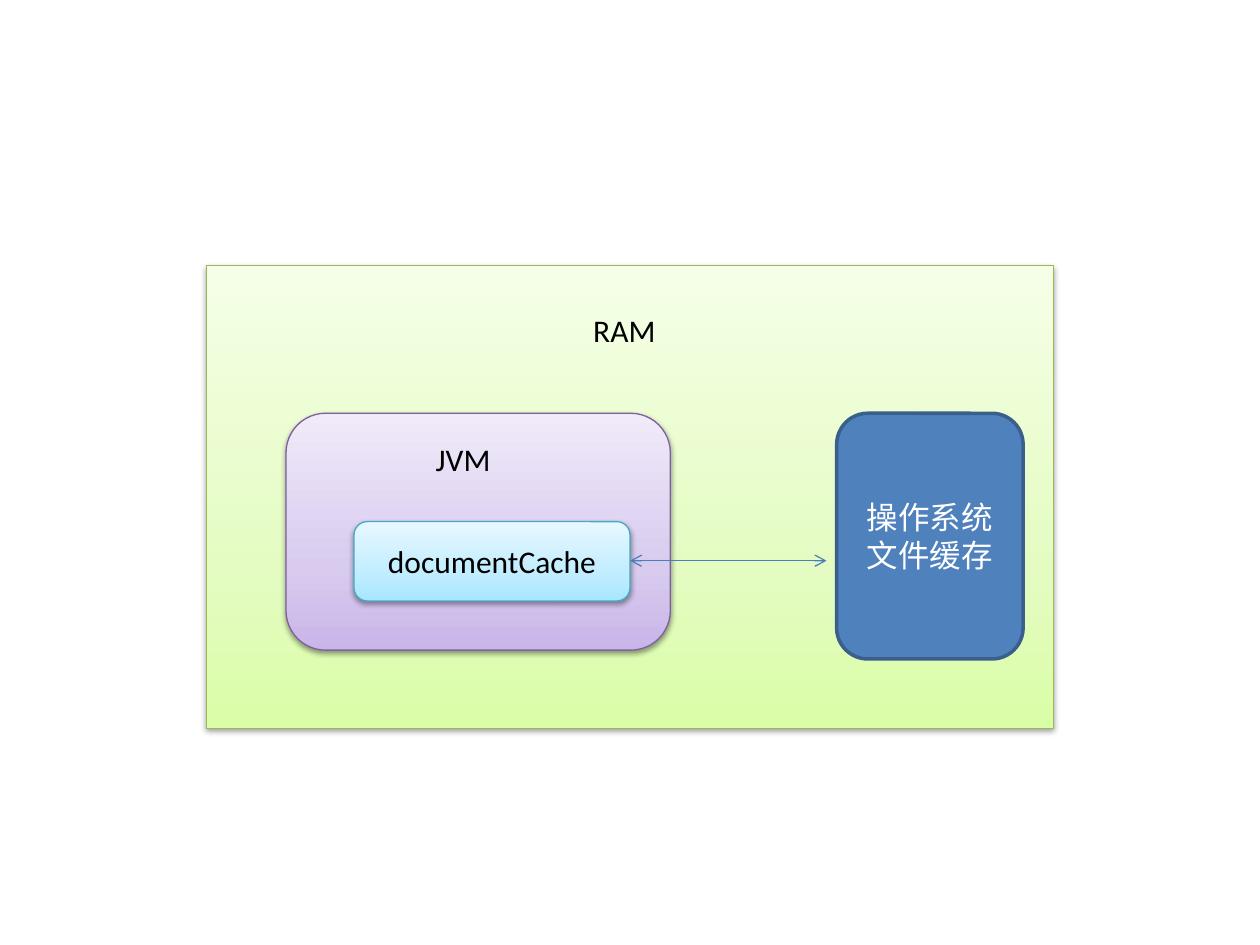
import pptx
import pptx.util
import pptx.dml.color
import pptx.enum.shapes
import pptx.enum.text
import pptx.oxml
import pptx.oxml.ns
from lxml import etree

Inches = pptx.util.Inches
Shapes = pptx.enum.shapes.MSO_SHAPE
qn = pptx.oxml.ns.qn

COLORS = {
    "ram_line": "98B955",
    "jvm_line": "7D60A0",
    "cache_line": "46AAC5",
    "arrow": "4B7EBC",
    "os_fill": "4F81BD",
    "os_line": "3A5F8C",
    "black": "000000",
    "white": "FFFFFF",
}
GRADIENTS = {
    "ram": ("DAFDA7", "E4FCC2", "F5FFE7"),
    "jvm": ("C9B5E8", "D8CBEE", "F0EAF9"),
    "cache": ("A7E6FF", "C1EDFF", "E7F8FF"),
}
STOP_POSITIONS = (0, 35000, 100000)


def rgb(name):
    return pptx.dml.color.RGBColor.from_string(COLORS[name])


def add_element(parent, tag, **attributes):
    return etree.SubElement(parent, qn(tag), attributes)


def add_box(page, kind, place, line, width):
    box = page.shapes.add_shape(kind, *map(Inches, place))
    box.shadow.inherit = False
    box.line.color.rgb = rgb(line)
    box.line.width = pptx.util.Pt(width)
    return box


def add_gradient_box(page, kind, place, name):
    box = add_box(page, kind, place, name + "_line", 0.75)
    box.fill.gradient()
    box.fill.gradient_angle = 90
    stops = box._element.spPr.find(".//" + qn("a:gsLst"))
    for stop in list(stops):
        stops.remove(stop)
    for position, color in zip(STOP_POSITIONS, GRADIENTS[name]):
        stop = add_element(stops, "a:gs", pos=str(position))
        add_element(stop, "a:srgbClr", val=color)
    effects = box._element.spPr.find(qn("a:effectLst"))
    shadow = add_element(effects, "a:outerShdw", blurRad=str(pptx.util.Pt(3.1)),
                         dist=str(pptx.util.Pt(1.6)), dir="5400000", rotWithShape="0")
    color = add_element(shadow, "a:srgbClr", val=COLORS["black"])
    add_element(color, "a:alpha", val="38000")
    return box


def write_text(box, text, color):
    box.text_frame.word_wrap = True
    para = box.text_frame.paragraphs[0]
    para.text = text
    para.font.name = "Calibri"
    para.font.size = pptx.util.Pt(18)
    para.font.color.rgb = rgb(color)
    return para


def write_centered(box, text, color):
    box.text_frame.vertical_anchor = pptx.enum.text.MSO_ANCHOR.MIDDLE
    para = write_text(box, text, color)
    para.alignment = pptx.enum.text.PP_ALIGN.CENTER


def add_label(page, place, text):
    box = page.shapes.add_textbox(*map(Inches, place))
    write_text(box, text, "black")
    box.text_frame.auto_size = pptx.enum.text.MSO_AUTO_SIZE.SHAPE_TO_FIT_TEXT


def add_double_arrow(page, left, right, y):
    arrow = page.shapes.add_connector(
        pptx.enum.shapes.MSO_CONNECTOR.STRAIGHT,
        Inches(left), Inches(y), Inches(right), Inches(y))
    arrow.line.color.rgb = rgb("arrow")
    arrow.line.width = pptx.util.Pt(0.75)
    line = arrow.line._get_or_add_ln()
    for end in ("a:headEnd", "a:tailEnd"):
        add_element(line, end, type="arrow")
    add_element(arrow._element.spPr, "a:effectLst")


def main():
    deck = pptx.Presentation()
    deck.slide_width = Inches(10)
    deck.slide_height = Inches(7.5)
    page = deck.slides.add_slide(deck.slide_layouts[6])

    add_gradient_box(page, Shapes.RECTANGLE, (1.64, 2.11, 6.72, 3.67), "ram")
    add_label(page, (4.61, 2.42, 0.78, 0.4), "RAM")
    add_gradient_box(page, Shapes.ROUNDED_RECTANGLE, (2.27, 3.28, 3.05, 1.88), "jvm")
    add_label(page, (3.36, 3.44, 0.86, 0.4), "JVM")
    cache = add_gradient_box(page, Shapes.ROUNDED_RECTANGLE, (2.81, 4.14, 2.19, 0.63), "cache")
    write_centered(cache, "documentCache", "black")
    add_double_arrow(page, 5, 6.56, 4.45)
    system = add_box(page, Shapes.ROUNDED_RECTANGLE, (6.64, 3.28, 1.48, 1.95), "os_line", 2)
    system.fill.solid()
    system.fill.fore_color.rgb = rgb("os_fill")
    write_centered(system, "操作系统文件缓存", "white")

    deck.save("out.pptx")


if __name__ == "__main__":
    main()
